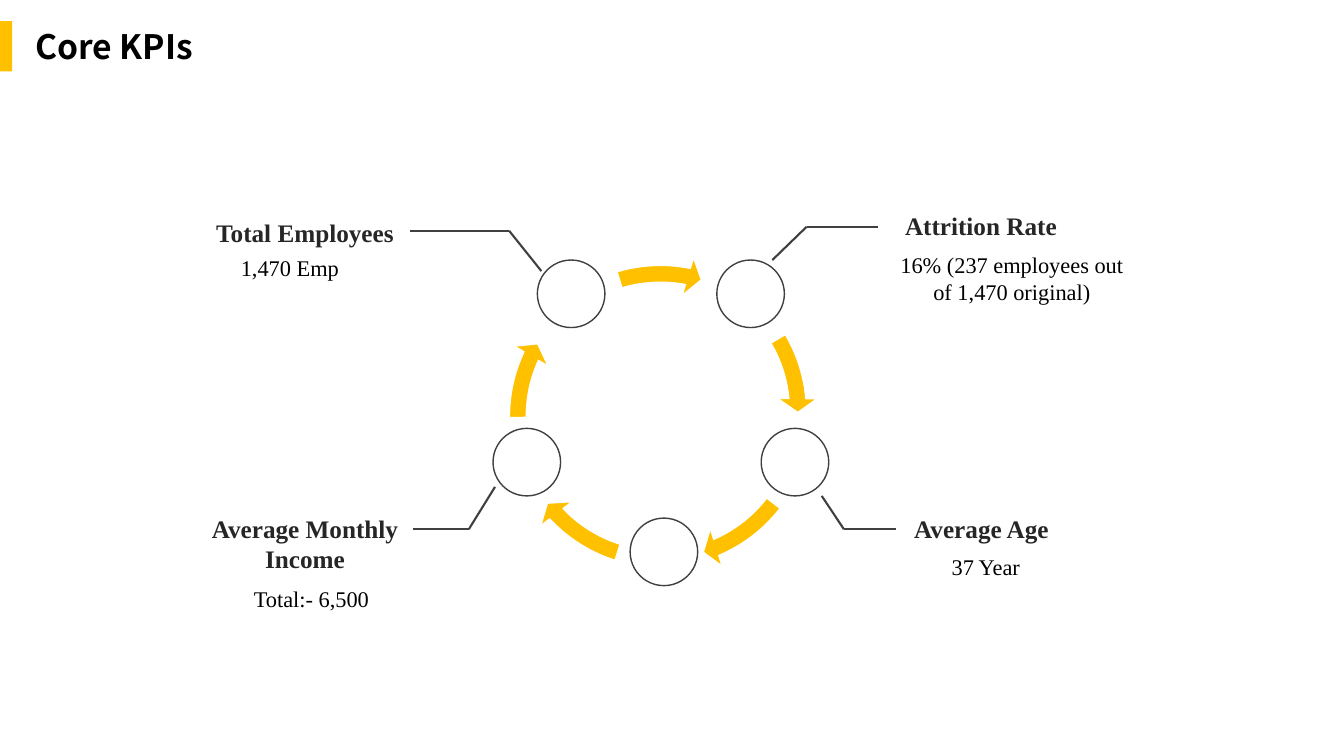
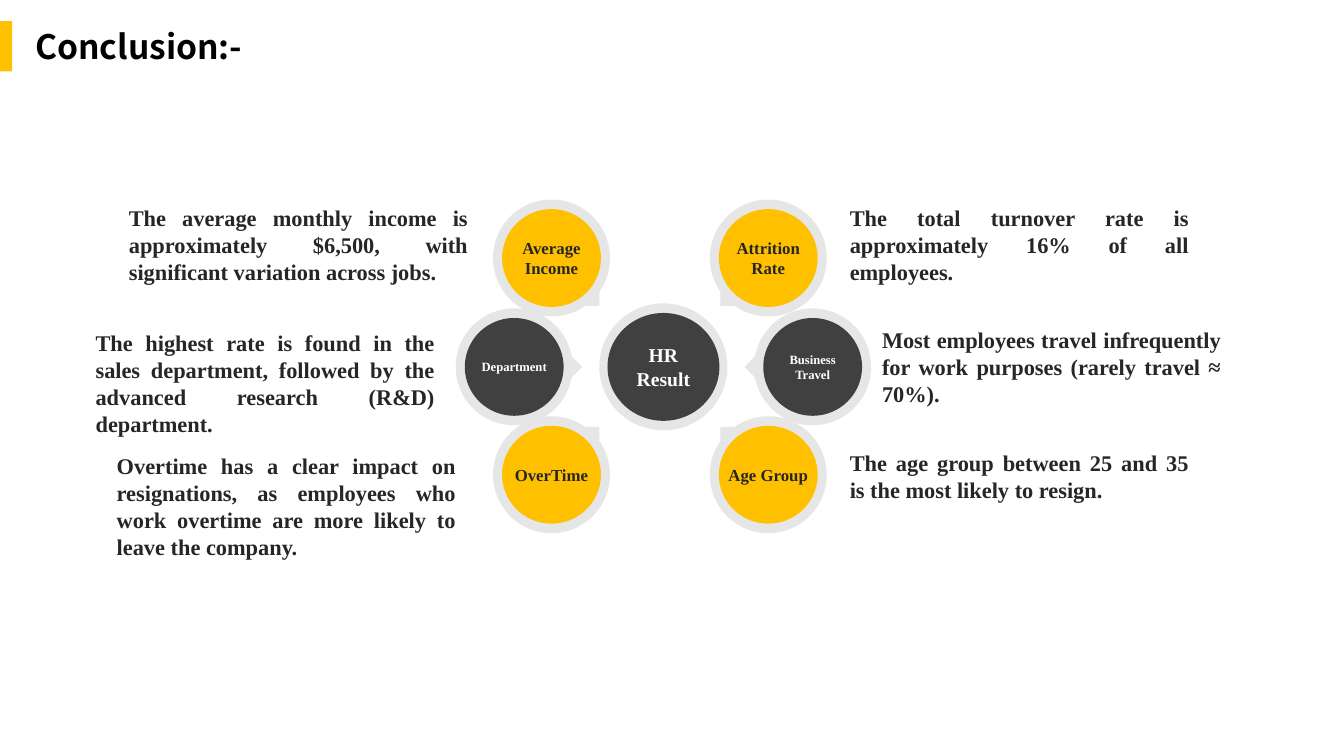
from itertools import pairwise

from lxml.etree import SubElement
from pptx import Presentation
from pptx.dml.color import RGBColor
from pptx.enum.shapes import MSO_CONNECTOR, MSO_SHAPE as SHAPE
from pptx.enum.text import MSO_ANCHOR as ANCHOR, MSO_AUTO_SIZE as AUTO, PP_ALIGN as ALIGN
from pptx.oxml.ns import qn
from pptx.util import Inches, Pt

# Shared look
AMBER, DARK, INK, GREY = "FFC000", "404040", "262626", "E7E6E6"
BLACK, WHITE = "000000", "FFFFFF"
SERIF, TITLE_FONT = "Times New Roman", "Noto Sans CJK SC"


def rgb(color):
    return RGBColor.from_string(color)


def write(tf, text, size=16, color=BLACK, bold=False, font=SERIF, align=ALIGN.LEFT):
    tf.text = text
    for p in tf.paragraphs:
        p.alignment = align
        f = p.runs[0].font
        f.name, f.size, f.bold = font, Pt(size), bold
        f.color.rgb = rgb(color)


def add_text(s, x, y, w, h, text, **fmt):
    sp = s.shapes.add_textbox(Inches(x), Inches(y), Inches(w), Inches(h))
    tf = sp.text_frame
    tf.word_wrap = True
    tf.auto_size = AUTO.SHAPE_TO_FIT_TEXT
    write(tf, text, **fmt)


def add_shape(s, kind, x, y, w, h, fill=None, line=None):
    sp = s.shapes.add_shape(kind, Inches(x), Inches(y), Inches(w), Inches(h))
    sp.shadow.inherit = False
    if fill:
        sp.fill.solid()
        sp.fill.fore_color.rgb = rgb(fill)
    else:
        sp.fill.background()
    if line:
        sp.line.color.rgb = rgb(line)
        sp.line.width = Pt(1)
    else:
        sp.line.fill.background()
    return sp


def add_centered(s, kind, cx, cy, w, h, **look):
    return add_shape(s, kind, cx - w / 2, cy - h / 2, w, h, **look)


def add_leader(s, *points):
    for (x1, y1), (x2, y2) in pairwise(points):
        ln = s.shapes.add_connector(MSO_CONNECTOR.STRAIGHT, Inches(x1), Inches(y1),
                                    Inches(x2), Inches(y2))
        ln.line.color.rgb = rgb(DARK)
        ln.line.width = Pt(1.5)
        SubElement(ln._element.spPr, qn("a:effectLst"))


def add_arc_arrow(s, x, y, start, end):
    """Circular arrow whose angles are degrees clockwise from the right."""
    sp = add_shape(s, SHAPE.CIRCULAR_ARROW, x, y, 3.22, 3.22, fill=AMBER, line=WHITE)
    per_degree = 60000 / 100000
    values = (0.052, 5.6 * per_degree, end * per_degree, start * per_degree, 0.061)
    for i, value in enumerate(values):
        sp.adjustments[i] = value


def add_disc(s, cx, cy, w, h, fill, text, size, color, wrap=True):
    sp = add_centered(s, SHAPE.OVAL, cx, cy, w, h, fill=fill)
    tf = sp.text_frame
    tf.margin_left = tf.margin_right = tf.margin_top = tf.margin_bottom = 0
    tf.vertical_anchor = ANCHOR.MIDDLE
    tf.word_wrap = wrap
    write(tf, text, size=size, color=color, bold=True, align=ALIGN.CENTER)


def add_satellite(s, cx, cy, text, hub, wrap=True):
    """Ringed disc with a pointer turned towards the hub."""
    hub_x, hub_y = hub
    toward = 1 if cx < hub_x else -1
    if cy == hub_y:
        add_centered(s, SHAPE.DIAMOND, cx + toward * 0.4, cy, 0.55, 0.55, fill=GREY)
        style = (DARK, text, 9, WHITE)
    else:
        down = 1 if cy < hub_y else -1
        add_centered(s, SHAPE.RECTANGLE, cx + toward * 0.28, cy + down * 0.28,
                     0.39, 0.39, fill=GREY)
        style = (AMBER, text, 12, INK)
    add_centered(s, SHAPE.OVAL, cx, cy, 1.16, 1.16, fill=GREY)
    add_disc(s, cx, cy, 0.98, 0.97, *style, wrap=wrap)


def new_slide(prs, title):
    s = prs.slides.add_slide(prs.slide_layouts[6])
    add_text(s, 0.25, 0.21, 2.9, 0.5, title, size=24, bold=True, font=TITLE_FONT)
    add_shape(s, SHAPE.RECTANGLE, 0, 0.21, 0.12, 0.5, fill=AMBER)
    return s


def build_kpis(prs):
    s = new_slide(prs, "Core KPIs")

    # Ring of arrows
    add_arc_arrow(s, 4.89, 2.47, 329.43, 354.9)
    for start, end in ((37.55, 66.92), (107.48, 136.86), (179.51, 204.98), (253.3, 281.1)):
        add_arc_arrow(s, 4.94, 2.52, start, end)

    # Leader lines
    add_leader(s, (7.66, 2.58), (8, 2.25), (8.71, 2.25))
    add_leader(s, (5.37, 2.69), (5.05, 2.29), (4.07, 2.29))
    add_leader(s, (8.15, 4.92), (8.37, 5.25), (8.89, 5.25))
    add_leader(s, (4.91, 4.83), (4.65, 5.25), (4.1, 5.25))

    # Stations
    for x, y in ((6.25, 5.14), (7.55, 4.25), (4.89, 4.25), (7.11, 2.58), (5.33, 2.58)):
        add_shape(s, SHAPE.OVAL, x, y, 0.67, 0.67, line=DARK)

    # Headings
    for x, y, h, text, align in (
        (1.98, 2.11, 0.4, "Total Employees", ALIGN.CENTER),
        (1.98, 5.04, 0.71, "Average Monthly Income", ALIGN.CENTER),
        (8.49, 2.04, 0.4, "Attrition Rate", ALIGN.RIGHT),
        (8.41, 5.04, 0.4, "Average Age", ALIGN.RIGHT),
    ):
        add_text(s, x, y, 2.09, h, text, size=18, color=INK, bold=True, align=align)

    # Values
    for x, y, w, h, text, align in (
        (2.29, 2.47, 1.29, 0.37, "1,470 Emp", ALIGN.JUSTIFY),
        (2.42, 5.76, 2.54, 0.37, "Total:- 6,500", ALIGN.JUSTIFY),
        (8.74, 2.44, 2.59, 0.64, "16% (237 employees out of 1,470 original)", ALIGN.CENTER),
        (9.34, 5.44, 2.59, 0.37, "37 Year", ALIGN.LEFT),
    ):
        add_text(s, x, y, w, h, text, align=align)


def build_conclusion(prs):
    s = new_slide(prs, "Conclusion:-")

    # Hub
    hub = (6.58, 3.64)
    add_centered(s, SHAPE.OVAL, *hub, 1.27, 1.26, fill=GREY)
    add_disc(s, *hub, 1.11, 1.07, DARK, "HR Result", 14, WHITE)

    # Satellites
    left, right, far_left, far_right = 5.47, 7.62, 5.1, 8.06
    top, middle, bottom = 2.56, hub[1], 4.71
    for cx, cy, text, wrap in (
        (right, top, "Attrition Rate", True),
        (left, bottom, "OverTime", False),
        (far_right, middle, "Business\nTravel", True),
        (far_left, middle, "Department", False),
        (right, bottom, "Age Group", False),
        (left, top, "Average Income", True),
    ):
        add_satellite(s, cx, cy, text, hub, wrap)

    # Findings
    for x, y, h, text in (
        (8.33, 1.98, 0.91, "The total turnover rate is approximately 16% of all employees."),
        (8.65, 3.19, 0.91, "Most employees travel infrequently for work purposes "
                           "(rarely travel ≈ 70%)."),
        (8.33, 4.41, 0.64, "The age group between 25 and 35 is the most likely to resign."),
        (1.06, 4.44, 1.18, "Overtime has a clear impact on resignations, as employees "
                           "who work overtime are more likely to leave the company."),
        (0.85, 3.22, 1.18, "The highest rate is found in the sales department, "
                           "followed by the advanced research (R&D) department."),
        (1.18, 1.98, 0.91, "The average monthly income is approximately $6,500, "
                           "with significant variation across jobs."),
    ):
        add_text(s, x, y, 3.56, h, text, color=INK, bold=True, align=ALIGN.JUSTIFY)


def main():
    prs = Presentation()
    prs.slide_width, prs.slide_height = Inches(13.33), Inches(7.5)
    build_kpis(prs)
    build_conclusion(prs)
    prs.save("out.pptx")


if __name__ == "__main__":
    main()
